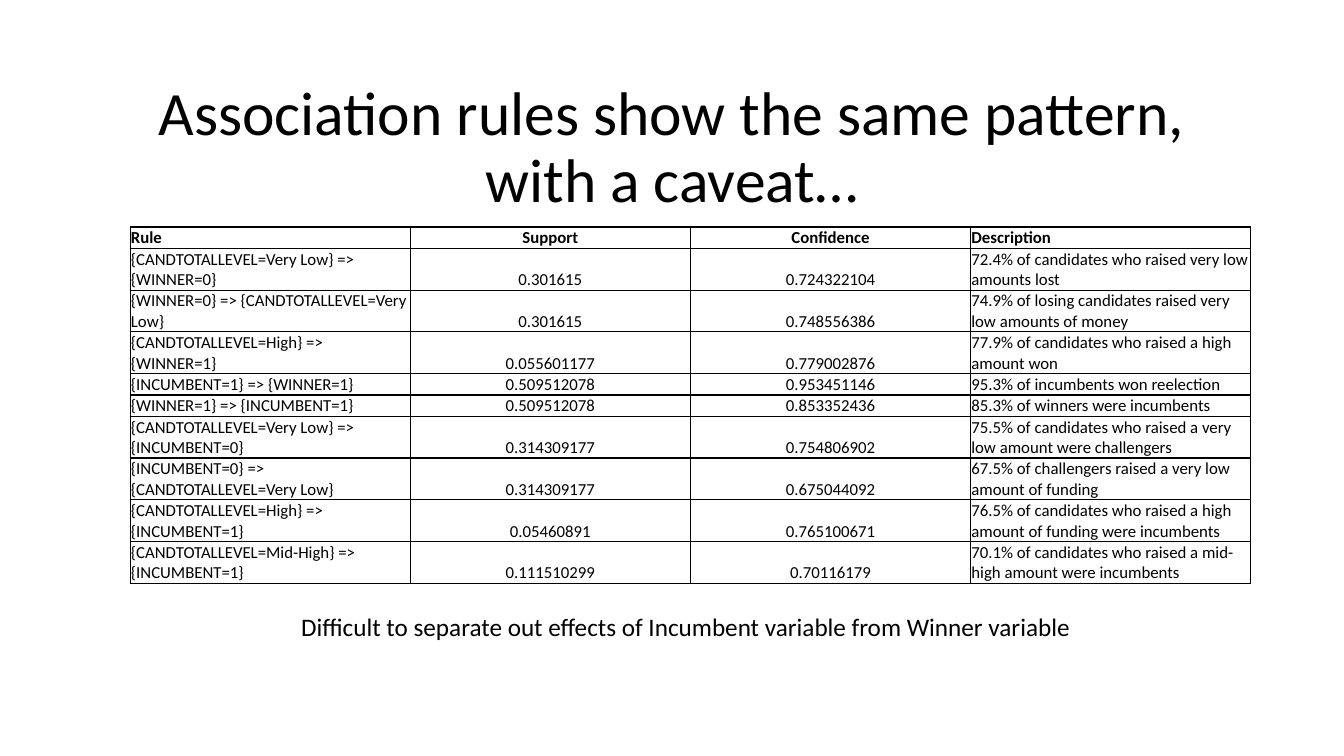
from lxml.etree import SubElement
from pptx import Presentation
from pptx.dml.color import RGBColor
from pptx.enum.text import MSO_ANCHOR, MSO_AUTO_SIZE, PP_ALIGN
from pptx.oxml.ns import qn
from pptx.util import Cm, Pt

BLACK = RGBColor(0x00, 0x00, 0x00)
FONT = "Calibri"
BORDER = Pt(1)
COLUMN_WIDTH = Cm(7.06)
LINE_HEIGHT = Cm(0.53)
TWO_LINE_HEIGHT = Cm(1.05)
LINE_CAPACITY = 36

HEADINGS = ("Rule", "Support", "Confidence", "Description")
RULES = [
    ("{CANDTOTALLEVEL=Very Low} => {WINNER=0}", "0.301615", "0.724322104",
     "72.4% of candidates who raised very low amounts lost"),
    ("{WINNER=0} => {CANDTOTALLEVEL=Very Low}", "0.301615", "0.748556386",
     "74.9% of losing candidates raised very low amounts of money"),
    ("{CANDTOTALLEVEL=High} => {WINNER=1}", "0.055601177", "0.779002876",
     "77.9% of candidates who raised a high amount won"),
    ("{INCUMBENT=1} => {WINNER=1}", "0.509512078", "0.953451146",
     "95.3% of incumbents won reelection"),
    ("{WINNER=1} => {INCUMBENT=1}", "0.509512078", "0.853352436",
     "85.3% of winners were incumbents"),
    ("{CANDTOTALLEVEL=Very Low} => {INCUMBENT=0}", "0.314309177", "0.754806902",
     "75.5% of candidates who raised a very low amount were challengers"),
    ("{INCUMBENT=0} => {CANDTOTALLEVEL=Very Low}", "0.314309177", "0.675044092",
     "67.5% of challengers raised a very low amount of funding"),
    ("{CANDTOTALLEVEL=High} => {INCUMBENT=1}", "0.05460891", "0.765100671",
     "76.5% of candidates who raised a high amount of funding were incumbents"),
    ("{CANDTOTALLEVEL=Mid-High} => {INCUMBENT=1}", "0.111510299", "0.70116179",
     "70.1% of candidates who raised a mid-high amount were incumbents"),
]


def apply_format(target, values):
    """Set every attribute named in values on target."""
    for name, value in values.items():
        setattr(target, name, value)


def write_text(frame, text, size, align, bold=False):
    """Put one formatted paragraph in a text frame and return it."""
    paragraph = frame.paragraphs[0]
    paragraph.alignment = align
    run = paragraph.add_run()
    run.text = text
    apply_format(run.font, {"name": FONT, "size": Pt(size), "bold": bold})
    run.font.color.rgb = BLACK
    return paragraph


def add_title(slide, text):
    """Place the centred slide title."""
    title = slide.shapes.title
    apply_format(title, {"left": Cm(2.33), "top": Cm(1.02),
                         "width": Cm(29.21), "height": Cm(5.46)})
    apply_format(title.text_frame, {"vertical_anchor": MSO_ANCHOR.MIDDLE,
                                    "auto_size": MSO_AUTO_SIZE.NONE,
                                    "word_wrap": True})
    write_text(title.text_frame, text, 44, PP_ALIGN.CENTER).line_spacing = 0.9


def add_borders(cell):
    """Draw a thin black line on all four sides of a cell."""
    properties = cell._tc.get_or_add_tcPr()
    for position, side in enumerate(("lnL", "lnR", "lnT", "lnB")):
        line = SubElement(properties, qn(f"a:{side}"), w=str(BORDER))
        fill = SubElement(line, qn("a:solidFill"))
        SubElement(fill, qn("a:srgbClr"), val=str(BLACK))
        properties.insert(position, line)


def fill_cell(cell, text, align, bold):
    """Write and format one table cell."""
    apply_format(cell, {"margin_left": Cm(0.02), "margin_right": Cm(0.02),
                        "margin_top": Cm(0.02), "margin_bottom": 0,
                        "vertical_anchor": MSO_ANCHOR.BOTTOM})
    cell.fill.background()
    write_text(cell.text_frame, text, 12, align, bold)
    add_borders(cell)


def add_rules_table(slide):
    """Build the table of association rules."""
    records = [HEADINGS, *RULES]
    heights = [TWO_LINE_HEIGHT if len(record[-1]) > LINE_CAPACITY else LINE_HEIGHT
               for record in records]
    table = slide.shapes.add_table(
        len(records), len(HEADINGS), Cm(3.28), Cm(5.72),
        COLUMN_WIDTH * len(HEADINGS), sum(heights)).table
    apply_format(table, {"first_row": False, "horz_banding": False})
    for column in table.columns:
        column.width = COLUMN_WIDTH
    for row_index, (record, height) in enumerate(zip(records, heights)):
        table.rows[row_index].height = height
        for column_index, text in enumerate(record):
            align = PP_ALIGN.CENTER if column_index in (1, 2) else PP_ALIGN.LEFT
            fill_cell(table.cell(row_index, column_index), text, align,
                      bold=row_index == 0)


def add_caveat(slide, text):
    """Add the remark below the table."""
    caveat = slide.shapes.add_textbox(Cm(7.34), Cm(15.27), Cm(20.17), Cm(1.03))
    apply_format(caveat.text_frame, {"word_wrap": False,
                                     "auto_size": MSO_AUTO_SIZE.SHAPE_TO_FIT_TEXT})
    write_text(caveat.text_frame, text, 18, PP_ALIGN.LEFT)


def main():
    """Build and save the slide."""
    presentation = Presentation()
    apply_format(presentation, {"slide_width": Cm(33.87), "slide_height": Cm(19.05)})
    slide = presentation.slides.add_slide(
        presentation.slide_layouts.get_by_name("Title Only"))
    add_title(slide, "Association rules show the same pattern, with a caveat…")
    add_rules_table(slide)
    add_caveat(slide, "Difficult to separate out effects of Incumbent variable "
                      "from Winner variable")
    presentation.save("out.pptx")


main()
